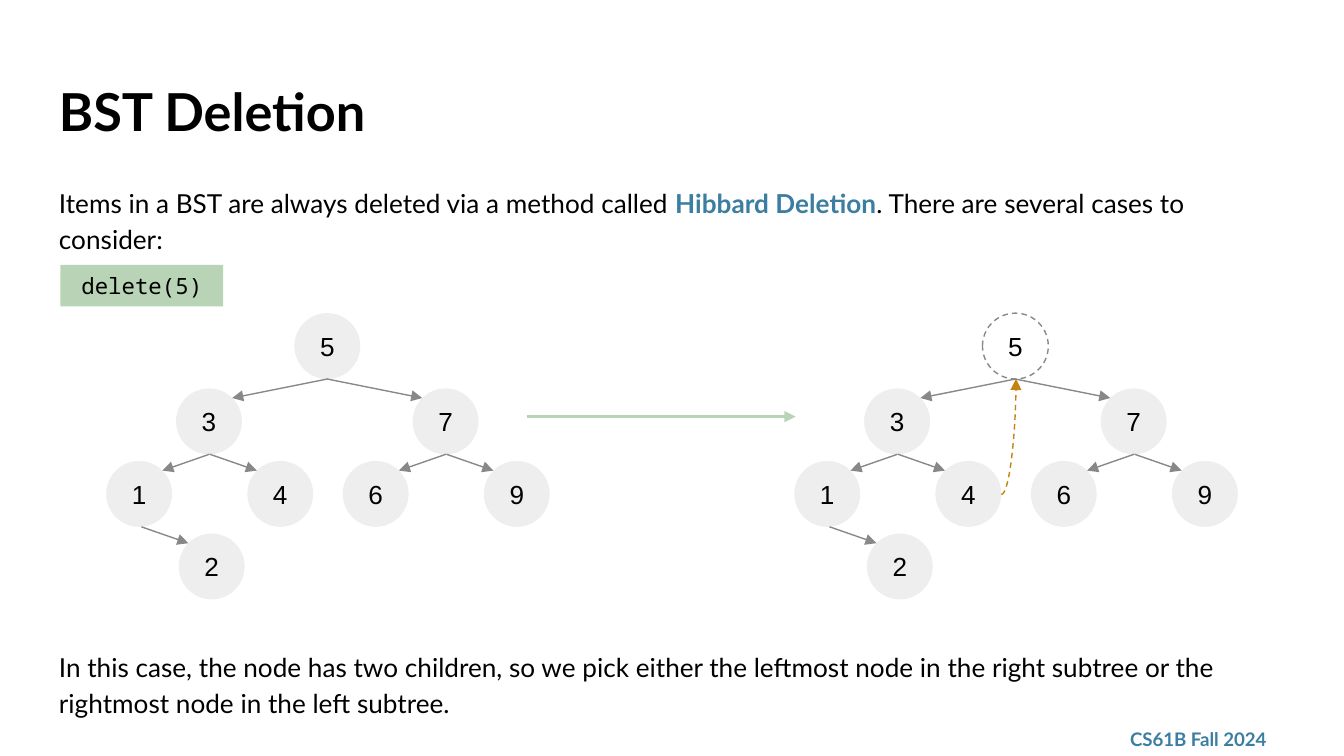
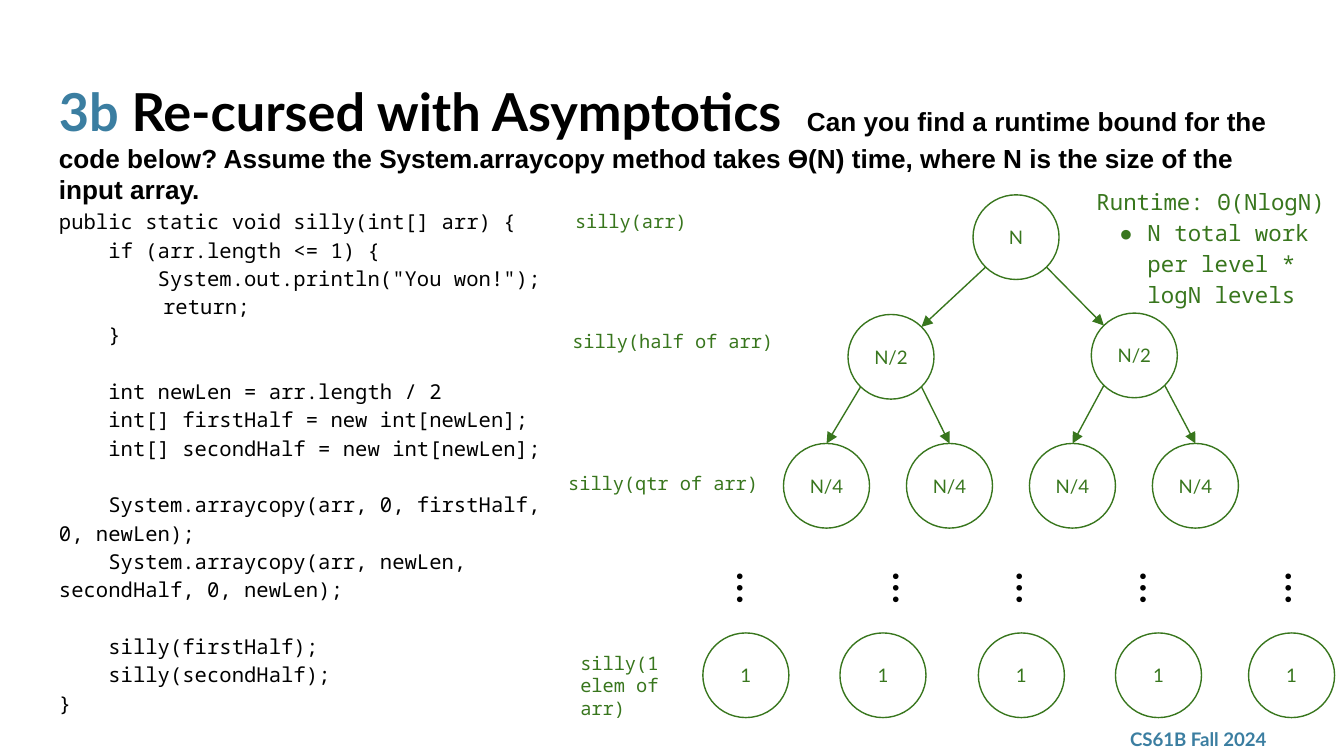
from lxml.etree import SubElement
from pptx import Presentation
from pptx.dml.color import RGBColor
from pptx.enum.dml import MSO_LINE
from pptx.enum.shapes import MSO_CONNECTOR as CXN, MSO_SHAPE as SHAPE
from pptx.enum.text import MSO_ANCHOR as ANCHOR, PP_ALIGN as ALIGN
from pptx.oxml.ns import qn
from pptx.util import Inches, Pt

hex_color = RGBColor.from_string
BLACK, BLUE, GREEN, SAGE = "000000", "3B7EA1", "38761D", "B9D3B6"
GRAY, PALE, GOLD, WHITE = "888888", "EEEEEE", "C4820E", "FFFFFF"

# Shared text styles: size, font, colour, bold
TITLE = dict(size=Pt(28), name="Lato", color=BLACK, bold=True)
BODY = dict(size=Pt(14), name="Lato", color=BLACK, bold=False)
FOOTER = dict(size=Pt(10), name="Lato", color=BLUE, bold=True)
KEY = dict(size=Pt(14), name="Arial", color=BLACK)
CODE = dict(size=Pt(11), name="Noto Sans Mono", color=BLACK)
CALL = dict(size=Pt(10), name="Noto Sans Mono", color=GREEN)
WORK = dict(size=Pt(10), name="Lato", color=GREEN)

TITLE_AREA = (0.34, 0.49, 9.32, 0.63)


def write(slide, area, paragraphs, style, spacing=1.0, shape=None, fill=None,
          line=None, dash=None, align=ALIGN.LEFT, anchor=ANCHOR.TOP):
    """Add a text box, or a preset shape, holding paragraphs of (text, changes) runs."""
    box = [Inches(v) for v in area]
    if shape is None:
        item = slide.shapes.add_textbox(*box)
    else:
        item = slide.shapes.add_shape(shape, *box)
        item.shadow.inherit = False
        align, anchor = ALIGN.CENTER, ANCHOR.MIDDLE
        for part, color in ((item.fill, fill), (item.line.fill, line)):
            if color:
                part.solid()
                part.fore_color.rgb = hex_color(color)
            else:
                part.background()
        if line:
            item.line.width = Pt(0.75)
            item.line.dash_style = dash
    frame = item.text_frame
    frame.word_wrap = shape is None
    frame.vertical_anchor = anchor
    for side in ("left", "top", "right", "bottom"):
        setattr(frame, f"margin_{side}", Inches(0.1))
    for i, runs in enumerate(paragraphs):
        paragraph = frame.add_paragraph() if i else frame.paragraphs[0]
        paragraph.alignment = align
        paragraph.line_spacing = spacing
        for text, changes in runs:
            run = paragraph.add_run()
            run.text = text
            look = {**style, **changes}
            run.font.color.rgb = hex_color(look.pop("color"))
            for key, value in look.items():
                setattr(run.font, key, value)
    return item


def arrow(slide, start, end, color, width=0.75, kind=CXN.STRAIGHT):
    """Draw a connector with an arrowhead at its end."""
    link = slide.shapes.add_connector(kind, *[Inches(v) for v in (*start, *end)])
    link.line.color.rgb = hex_color(color)
    link.line.width = Pt(width)
    SubElement(link.line._get_or_add_ln(), qn("a:tailEnd"), type="triangle")
    SubElement(link._element.spPr, qn("a:effectLst"))
    return link


# 16:9 slides
prs = Presentation()
prs.slide_width = Inches(10)
prs.slide_height = prs.slide_width * 9 // 16
deletion, recursion = [prs.slides.add_slide(prs.slide_layouts[6]) for _ in range(2)]

# Footer on both slides
for slide in (deletion, recursion):
    write(slide, (8.31, 5.37, 1.35, 0.26), [[("CS61B Fall 2024", {})]], FOOTER,
          anchor=ANCHOR.MIDDLE)

# ---- Slide 1: BST deletion ----
write(deletion, TITLE_AREA, [[("BST Deletion", {})]], TITLE)
write(deletion, (0.34, 1.26, 9.32, 0.55), [[
    ("Items in a BST are always deleted via a method called ", {}),
    ("Hibbard Deletion", dict(color=BLUE, bold=True)),
    (". There are several cases to consider:", {}),
]], BODY, spacing=1.15)
write(deletion, (0.34, 4.71, 9.32, 0.63), [[
    ("In this case, the node has two children, so we pick either the leftmost node "
     "in the right subtree or the rightmost node in the left subtree.", {}),
]], BODY, spacing=1.15)
write(deletion, (0.45, 1.97, 1.21, 0.31), [[("delete(5)", {})]],
      {**CODE, "size": Pt(12)}, shape=SHAPE.RECTANGLE, fill=SAGE)

# Trees before and after: key, offset from root, level, side the edge enters, edge run
NODE = 0.49
CORNER = NODE / 2 * 0.707
LEVEL_TOPS = [2.33, 2.89, 3.43, 3.97]
CHILDREN = [("3", -0.88, 1, 1, 0.71), ("7", 0.88, 1, -1, 0.71),
            ("1", -1.4, 2, 1, 0.35), ("4", -0.35, 2, -1, 0.35),
            ("6", 0.36, 2, 1, 0.35), ("9", 1.41, 2, -1, 0.35),
            ("2", -0.86, 3, -1, 0.35)]
ROOT_LOOKS = [(2.19, dict(fill=PALE)), (7.31, dict(line=GRAY, dash=MSO_LINE.DASH))]
for root_left, root_look in ROOT_LOOKS:
    write(deletion, (root_left, LEVEL_TOPS[0], NODE, NODE), [[("5", {})]], KEY,
          shape=SHAPE.OVAL, **root_look)
    for key, offset, level, side, run in CHILDREN:
        left, top = root_left + offset, LEVEL_TOPS[level]
        write(deletion, (left, top, NODE, NODE), [[(key, {})]], KEY,
              shape=SHAPE.OVAL, fill=PALE)
        tip_x = left + NODE / 2 + side * CORNER
        arrow(deletion, (tip_x + side * run, LEVEL_TOPS[level - 1] + NODE),
              (tip_x, top + NODE / 2 - CORNER), GRAY)

# Step from before to after, and the replacement for the root
arrow(deletion, (3.92, 3.1), (5.92, 3.1), SAGE, width=1.5)
replacement = arrow(deletion, (7.45, 3.68), (7.56, 2.82), GOLD, kind=CXN.CURVE)
replacement.line.dash_style = MSO_LINE.DASH
replacement._element.spPr.find(qn("a:prstGeom")).set("prst", "curvedConnector2")

# ---- Slide 2: recursion runtime ----
heading = write(recursion, TITLE_AREA, [[
    ("3b ", dict(color=BLUE)),
    ("Re-cursed with Asymptotics", {}),
    (" ", {}),
    ("Can you find a runtime bound for the code below? Assume the System.arraycopy "
     "method takes ϴ(N) time, where N is the size of the input array.",
     dict(size=Pt(14), name="Arial")),
]], TITLE)
# Widen the gap before the question by 7 points
heading.text_frame.paragraphs[0].runs[2]._r.get_or_add_rPr().set("spc", "700")

# Code, in blocks set apart by one line of space
CODE_BLOCKS = [
    ["public static void silly(int[] arr) {",
     "    if (arr.length <= 1) {",
     "        System.out.println(\"You won!\");",
     "   return;",
     "    }"],
    ["    int newLen = arr.length / 2",
     "    int[] firstHalf = new int[newLen];",
     "    int[] secondHalf = new int[newLen];"],
    ["    System.arraycopy(arr, 0, firstHalf, 0, newLen);",
     "    System.arraycopy(arr, newLen, secondHalf, 0, newLen);"],
    ["    silly(firstHalf);",
     "    silly(secondHalf);",
     "}"],
]
code_lines = [line for block in CODE_BLOCKS for line in block]
code = write(recursion, (0.34, 1.43, 3.82, 3.74),
             [[(line, {})] for line in code_lines], CODE, spacing=1.15)
code_paragraphs = code.text_frame.paragraphs
code_paragraphs[code_lines.index("   return;")]._p.get_or_add_pPr().set(
    "marL", str(Inches(0.5)))
first = 0
for block in CODE_BLOCKS[:-1]:
    first += len(block)
    code_paragraphs[first].space_before = Pt(15.2)

# Call made at each level
for call, area in [("silly(arr)", (4.18, 1.48, 1.48, 0.37)),
                   ("silly(half of arr)", (4.16, 2.37, 1.73, 0.37)),
                   ("silly(qtr of arr)", (4.13, 3.43, 1.73, 0.37)),
                   ("silly(1 elem of arr)", (4.22, 4.75, 1.03, 0.71))]:
    write(recursion, area, [[(call, {})]], CALL)

# Work done by each call
WIDE, HIGH = 0.64, 0.63
DX, DY = WIDE / 2 * 0.707, HIGH / 2 * 0.707
root = (7.24, 1.45)
halves = [(6.31, 2.34), (8.12, 2.33)]
quarters = [(5.83 + 0.915 * i, 3.3) for i in range(4)]
ones = [(left, 4.71) for left in (5.23, 6.25, 7.28, 8.3, 9.29)]
for work, places in [("N", [root]), ("N/2", halves), ("N/4", quarters), ("1", ones)]:
    for left, top in places:
        write(recursion, (left, top, WIDE, HIGH), [[(work, {})]], WORK,
              shape=SHAPE.OVAL, fill=WHITE, line=GREEN)
for left in (5.18, 6.34, 7.26, 8.18, 9.26):
    dots = write(recursion, (left, 4.07, 0.87, 0.61), [[("…", {})]],
                 {**BODY, "size": Pt(24)}, align=ALIGN.CENTER)
    dots.rotation = 90

# Edges leave a parent at its lower corners
for parent, children in [(root, halves), (halves[0], quarters[:2]),
                         (halves[1], quarters[2:])]:
    for side, (left, top) in zip((-1, 1), children):
        start = (parent[0] + WIDE / 2 + side * DX, parent[1] + HIGH / 2 + DY)
        end = (left + WIDE / 2, top)
        if parent == root:
            end = (end[0] - side * DX, top + HIGH / 2 - DY)
        arrow(recursion, start, end, GREEN)

# Runtime answer
runtime = write(recursion, (8.06, 1.27, 2.1, 1.1), [
    [("Runtime: ", {}), ("Θ(NlogN)", {})],
    [("N total work per level * logN levels", {})],
], {**CALL, "size": Pt(12)}, spacing=1.15)
reason = runtime.text_frame.paragraphs[1]._p.get_or_add_pPr()
reason.set("marL", str(Inches(0.38)))
reason.set("indent", str(Inches(-0.21)))
SubElement(SubElement(reason, qn("a:buClr")), qn("a:srgbClr"), val=GREEN)
SubElement(reason, qn("a:buFont"), typeface="Noto Sans Mono")
SubElement(reason, qn("a:buChar"), char="●")

prs.save("out.pptx")
